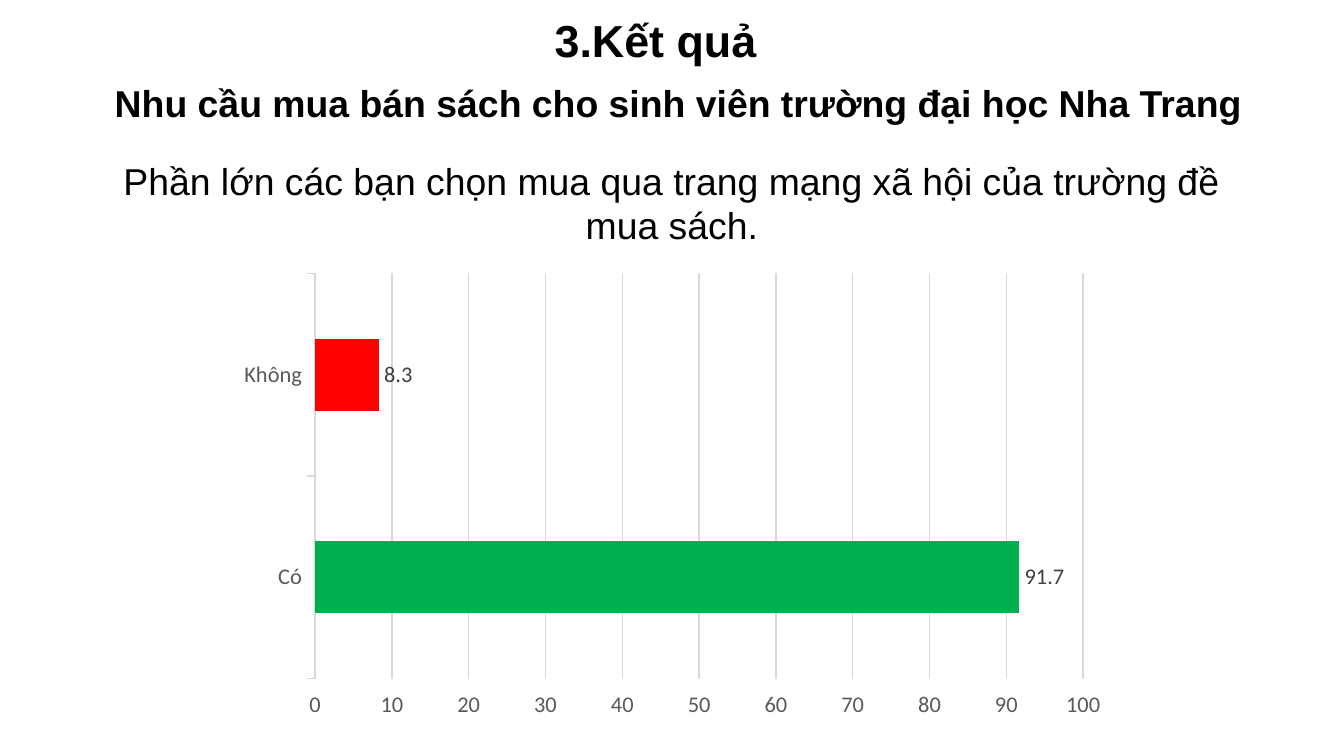
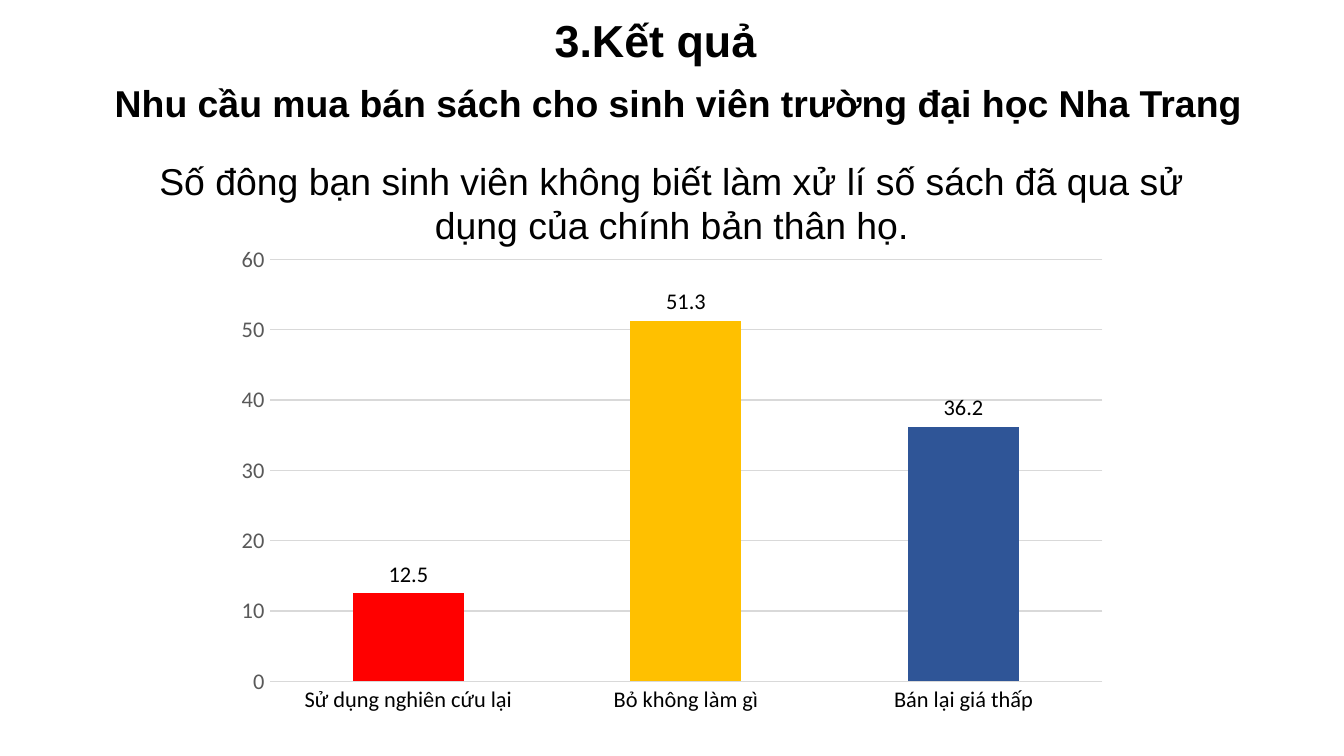
from lxml import etree
from pptx import Presentation
from pptx.chart.data import CategoryChartData
from pptx.dml.color import RGBColor
from pptx.enum import chart as kinds, text as anchors
from pptx.oxml import ns
from pptx.util import Pt

PX = 4572
BLACK = RGBColor(0x00, 0x00, 0x00)
AXIS_GRAY = RGBColor(0x59, 0x59, 0x59)
LABEL_GRAY = RGBColor(0x40, 0x40, 0x40)
GRID_GRAY = RGBColor(0xD9, 0xD9, 0xD9)
GREEN = RGBColor(0x00, 0xB0, 0x50)
RED = RGBColor(0xFF, 0x00, 0x00)
YELLOW = RGBColor(0xFF, 0xC0, 0x00)
BLUE = RGBColor(0x2F, 0x55, 0x97)
TEXT_FONT, CHART_FONT = "Arial", "Calibri"

SLIDE_SIZE = (2000, 1125)
TITLE_BOX = (641, -21, 504, 160)
SUBTITLE_BOX = (151, 100, 1736, 118)
FINDING_BOX = (159, 225, 1682, 154)
TITLE = "3.Kết quả"
SUBTITLE = "Nhu cầu mua bán sách cho sinh viên trường đại học Nha Trang"


def scaled(box):
    return [length * PX for length in box]


def set_font(font, size, color, name=CHART_FONT, bold=False):
    font.name, font.size, font.bold = name, Pt(size), bold
    font.color.rgb = color


def add_text(slide, box, content, size=20, bold=False, align="LEFT", anchor="TOP", margin=10):
    frame = slide.shapes.add_textbox(*scaled(box)).text_frame
    frame.word_wrap = True
    frame.vertical_anchor = getattr(anchors.MSO_ANCHOR, anchor)
    frame.margin_left = frame.margin_right = 20 * PX
    frame.margin_top = frame.margin_bottom = margin * PX
    paragraph = frame.paragraphs[0]
    paragraph.alignment = getattr(anchors.PP_ALIGN, align)
    run = paragraph.add_run()
    run.text = content
    set_font(run.font, size, BLACK, TEXT_FONT, bold)
    return frame


def set_line(line, color=None):
    if color is None:
        line.fill.background()
    else:
        line.color.rgb = color
        line.width = Pt(0.75)


def style_axis(axis, color, tick, line=None):
    axis.major_tick_mark = tick
    axis.minor_tick_mark = kinds.XL_TICK_MARK.NONE
    set_font(axis.tick_labels.font, 12, color)
    set_line(axis.format.line, line)


def set_plot_layout(chart, chart_box, plot_box):
    plot_area = chart.plots[0]._element.getparent()
    for old in plot_area.findall(ns.qn("c:layout")):
        plot_area.remove(old)
    layout = etree.Element(ns.qn("c:layout"))
    manual = etree.SubElement(layout, ns.qn("c:manualLayout"))
    values = dict(layoutTarget="inner", xMode="edge", yMode="edge")
    for tag, length, whole in zip("xywh", plot_box, chart_box[2:] * 2):
        values[tag] = length / whole
    for tag, value in values.items():
        etree.SubElement(manual, ns.qn("c:" + tag)).set("val", str(value))
    plot_area.insert(0, layout)


def add_bar_chart(slide, box, kind, bars, maximum, gap, tick, category_color, label_color,
                  category_line=None):
    data = CategoryChartData()
    data.categories = [name for name, value, color in bars]
    data.add_series("Series 1", [value for name, value, color in bars])
    chart = slide.shapes.add_chart(kind, *scaled(box), data).chart
    chart.has_legend = chart.has_title = False
    set_font(chart.font, 10, BLACK)

    style_axis(chart.category_axis, category_color, tick, category_line)
    axis = chart.value_axis
    style_axis(axis, AXIS_GRAY, tick)
    axis.minimum_scale, axis.maximum_scale, axis.major_unit = 0, maximum, 10
    axis.has_major_gridlines = True
    set_line(axis.major_gridlines.format.line, GRID_GRAY)

    plot = chart.plots[0]
    plot.gap_width = gap
    plot.vary_by_categories = False
    series = plot.series[0]
    series.invert_if_negative = False
    for index, (name, value, color) in enumerate(bars):
        fill = series.points[index].format.fill
        fill.solid()
        fill.fore_color.rgb = color
    labels = series.data_labels
    labels.show_value = True
    labels.position = kinds.XL_LABEL_POSITION.OUTSIDE_END
    set_font(labels.font, 12, label_color)
    return chart


def add_result_slide(presentation, finding):
    slide = presentation.slides.add_slide(presentation.slide_layouts[6])
    add_text(slide, TITLE_BOX, TITLE, size=24, bold=True, align="RIGHT", anchor="MIDDLE", margin=20)
    frame = add_text(slide, FINDING_BOX, finding, align="CENTER")
    frame.auto_size = anchors.MSO_AUTO_SIZE.SHAPE_TO_FIT_TEXT
    add_text(slide, SUBTITLE_BOX, SUBTITLE, bold=True, margin=20)
    return slide


def add_demand_slide(presentation):
    slide = add_result_slide(
        presentation, "Phần lớn các bạn chọn mua qua trang mạng xã hội của trường đề mua sách.")
    box = (334, 338, 1334, 752)
    chart = add_bar_chart(
        slide, box, kinds.XL_CHART_TYPE.BAR_CLUSTERED,
        [("Có", 91.7, GREEN), ("Không", 8.3, RED)],
        maximum=100, gap=182, tick=kinds.XL_TICK_MARK.OUTSIDE,
        category_color=AXIS_GRAY, label_color=LABEL_GRAY, category_line=GRID_GRAY)
    set_plot_layout(chart, box, (135, 69, 1143, 603))


def add_used_books_slide(presentation):
    slide = add_result_slide(
        presentation,
        "Số đông bạn sinh viên không biết làm xử lí số sách đã qua sử dụng của chính bản thân họ.")
    add_bar_chart(
        slide, (333, 352, 1334, 724), kinds.XL_CHART_TYPE.COLUMN_CLUSTERED,
        [("Sử dụng nghiên cứu lại", 12.5, RED), ("Bỏ không làm gì", 51.3, YELLOW),
         ("Bán lại giá thấp", 36.2, BLUE)],
        maximum=60, gap=150, tick=kinds.XL_TICK_MARK.NONE,
        category_color=BLACK, label_color=BLACK)


def main():
    presentation = Presentation()
    presentation.slide_width, presentation.slide_height = scaled(SLIDE_SIZE)
    add_demand_slide(presentation)
    add_used_books_slide(presentation)
    presentation.save("out.pptx")


if __name__ == "__main__":
    main()
